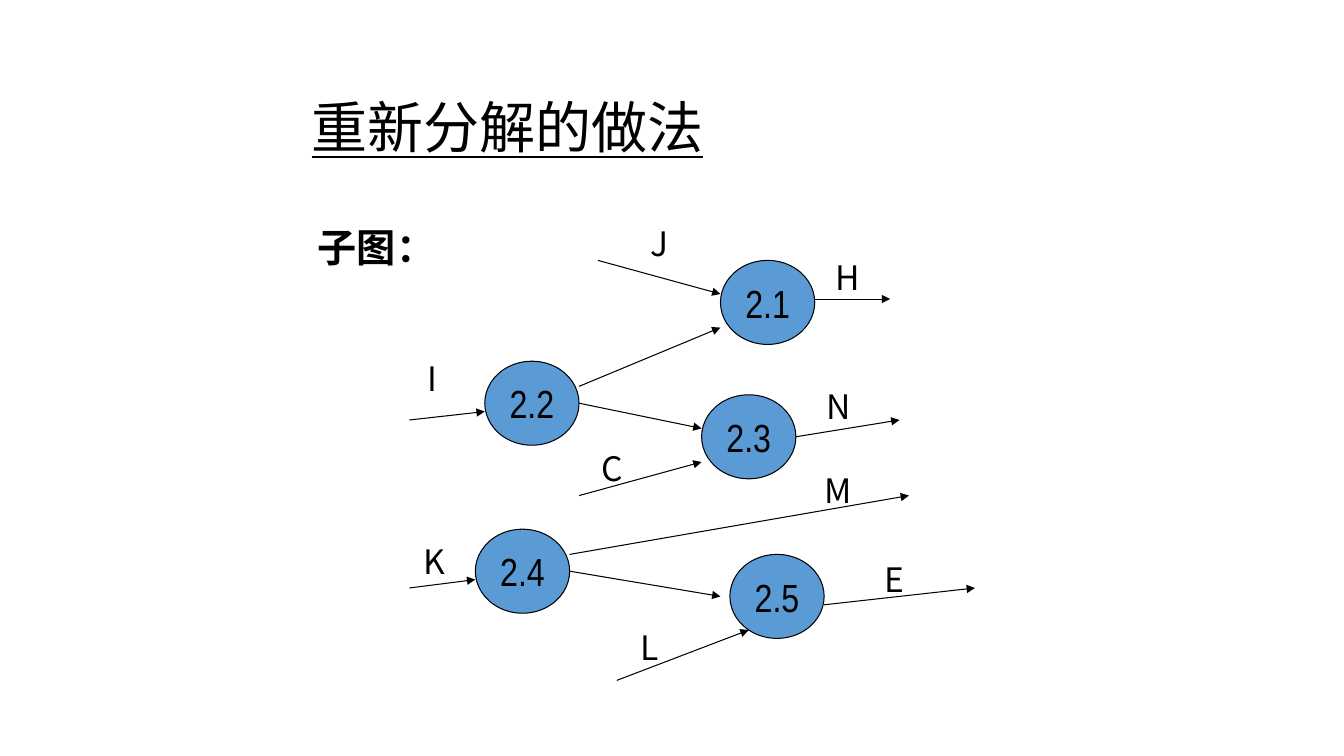
"""Build a slide with a data-flow subgraph of five processes."""
from lxml import etree
from pptx import Presentation
from pptx.dml.color import RGBColor
from pptx.enum.shapes import MSO_CONNECTOR, MSO_SHAPE
from pptx.enum.text import MSO_ANCHOR, MSO_AUTO_SIZE, PP_ALIGN
from pptx.oxml.ns import qn
from pptx.util import Inches, Pt

STRAIGHT = MSO_CONNECTOR.STRAIGHT
CIRCLE = MSO_SHAPE.FLOWCHART_CONNECTOR
MIDDLE, TOP = MSO_ANCHOR.MIDDLE, MSO_ANCHOR.TOP
LEFT, CENTER = PP_ALIGN.LEFT, PP_ALIGN.CENTER
NO_FIT = MSO_AUTO_SIZE.NONE
SANS, NARROW = "Noto Sans CJK SC", "Arial Narrow"
BLACK, BLUE = "000000", "5B9BD5"

GRID_LEFT = 4.06
COLUMN = (9.67 - GRID_LEFT) / 60
ROW = 1 / 12


def grid_point(column, row):
    return Inches(GRID_LEFT + column * COLUMN), Inches(row * ROW)


def write(shape, text, size, font=SANS, bold=False, underline=False,
          align=CENTER, anchor=TOP, wrap=True, spacing=1.0):
    frame = shape.text_frame
    frame.word_wrap, frame.auto_size = wrap, NO_FIT
    frame.vertical_anchor = anchor
    para = frame.paragraphs[0]
    para.alignment, para.line_spacing = align, spacing
    span = para.add_run()
    span.text = text
    span.font.name, span.font.size = font, Pt(size)
    span.font.bold, span.font.underline = bold, underline
    span.font.color.rgb = RGBColor.from_string(BLACK)
    east_asian = etree.SubElement(span.font._element, qn("a:ea"))
    east_asian.set("typeface", SANS)


deck = Presentation()
deck.slide_width, deck.slide_height = Inches(13.33), Inches(7.5)
page = deck.slides.add_slide(deck.slide_layouts[5])

title = page.shapes.title
title.left, title.top = Inches(2.99), Inches(0.67)
title.width, title.height = Inches(7.9), Inches(1.25)
write(title, "重新分解的做法", 40, underline=True, align=LEFT, anchor=MIDDLE, spacing=0.9)

heading = page.shapes.add_textbox(Inches(2.85), Inches(2.17), Inches(1.77), Inches(0.57))
write(heading, "子图：", 28, font=NARROW, bold=True)

processes = {"2.2": (8, 43), "2.3": (31, 47), "2.1": (33, 31),
             "2.4": (7, 63), "2.5": (34, 66)}
for number, place in processes.items():
    circle = page.shapes.add_shape(CIRCLE, *grid_point(*place),
                                   Inches(10 * COLUMN), Inches(10 * ROW))
    circle.shadow.inherit = False
    circle.fill.solid()
    circle.fill.fore_color.rgb = RGBColor.from_string(BLUE)
    circle.line.color.rgb = RGBColor.from_string(BLACK)
    circle.line.width = Pt(0.75)
    write(circle, number, 28, font=NARROW, anchor=MIDDLE, wrap=False)

flows = [
    ((0, 50), (8, 49)), ((0, 70), (7, 69)), ((18, 46), (33, 39)),
    ((20, 31), (33, 35)), ((18, 48), (31, 51)), ((18, 59), (31, 55)),
    ((22, 81), (36, 75)), ((17, 68), (33, 71)), ((17, 66), (53, 59)),
    ((44, 72), (60, 70)), ((41, 52), (52, 50)), ((43, 35.6), (51, 35.6)),
]
for start, end in flows:
    arrow = page.shapes.add_connector(STRAIGHT, *grid_point(*start), *grid_point(*end))
    arrow.line.color.rgb = RGBColor.from_string(BLACK)
    arrow.line.width = Pt(0.75)
    etree.SubElement(arrow.line._get_or_add_ln(), qn("a:tailEnd")).set("type", "triangle")
    etree.SubElement(arrow._element.spPr, qn("a:effectLst"))

labels = {"I": (0, 42), "J": (24, 26), "K": (0.2, 63.8), "C": (19, 52.7), "M": (43, 55.3),
          "L": (23, 74), "E": (49, 66), "H": (44, 30), "N": (43, 45.4)}
for letter, place in labels.items():
    label = page.shapes.add_textbox(*grid_point(*place), Inches(5 * COLUMN), Inches(0.51))
    write(label, letter, 24)

deck.save("out.pptx")
